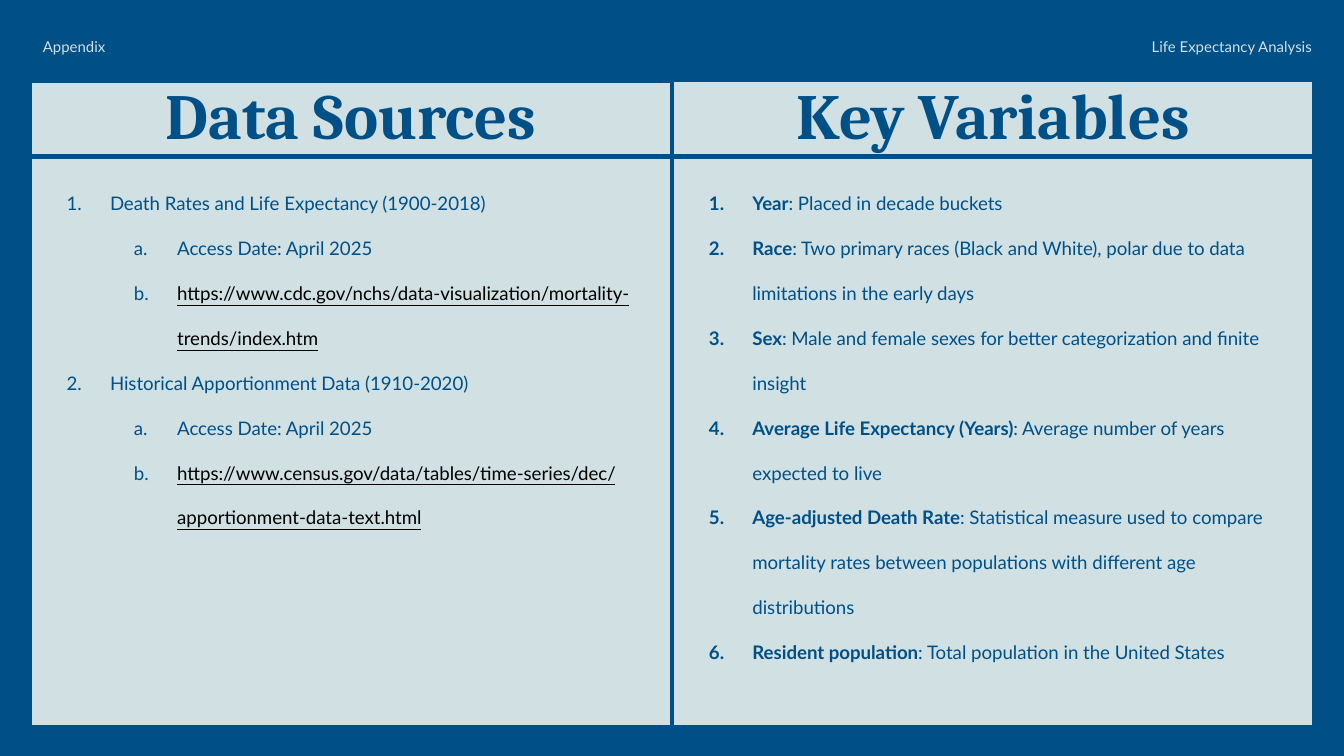
from lxml.etree import SubElement
from pptx import Presentation
from pptx.dml.color import RGBColor
from pptx.enum.shapes import MSO_SHAPE as Shape
from pptx.enum.text import MSO_ANCHOR as Anchor, MSO_AUTO_SIZE as AutoSize, PP_ALIGN as Align
from pptx.oxml.ns import qn
from pptx.util import Cm, Pt

BLUE, PALE, BLACK = "005088", "D0E0E3", "000000"
INSET = Cm(0.25)
HANGING = Cm(0.82)
HEADING_HEIGHT = 1.44

SOURCES = [
    ("Death Rates and Life Expectancy (1900-2018)",
     "https://www.cdc.gov/nchs/data-visualization/mortality-trends/index.htm"),
    ("Historical Apportionment Data (1910-2020)",
     "https://www.census.gov/data/tables/time-series/dec/apportionment-data-text.html"),
]
VARIABLES = [
    ("Year", "Placed in decade buckets"),
    ("Race", "Two primary races (Black and White), polar due to data limitations in the early days"),
    ("Sex", "Male and female sexes for better categorization and finite insight"),
    ("Average Life Expectancy (Years)", "Average number of years expected to live"),
    ("Age-adjusted Death Rate", "Statistical measure used to compare mortality rates "
     "between populations with different age distributions"),
    ("Resident population", "Total population in the United States"),
]


def rgb(value):
    return RGBColor.from_string(value)


def add_run(paragraph, text, size=10, font="Lato", color=BLUE, bold=False, underline=False):
    run = paragraph.add_run()
    run.text = text
    run.font.size = Pt(size)
    run.font.name = font
    run.font.bold = bold
    run.font.underline = underline
    run.font.color.rgb = rgb(color)


def set_frame(frame, anchor):
    frame.word_wrap = True
    frame.auto_size = AutoSize.NONE
    frame.vertical_anchor = anchor
    frame.margin_left = frame.margin_right = INSET
    frame.margin_top = frame.margin_bottom = INSET


def place(shape, box):
    shape.left, shape.top, shape.width, shape.height = (Cm(length) for length in box)


def style_panel(panel, anchor):
    panel.fill.solid()
    panel.fill.fore_color.rgb = rgb(PALE)
    panel.line.color.rgb = rgb(BLUE)
    panel.line.width = Pt(2.25)
    set_frame(panel.text_frame, anchor)


def add_panel(slide, box):
    panel = slide.shapes.add_shape(Shape.RECTANGLE, *(Cm(length) for length in box))
    panel.shadow.inherit = False
    return panel


def add_item(frame, index, level, runs):
    paragraph = frame.paragraphs[0] if index == 0 else frame.add_paragraph()
    paragraph.level = level
    properties = paragraph._p.get_or_add_pPr()
    properties.set("marL", str(Cm(1.27 * (level + 1))))
    properties.set("indent", str(-HANGING))
    bullet_color = SubElement(properties, qn("a:buClr"))
    SubElement(bullet_color, qn("a:srgbClr"), val=BLUE)
    SubElement(properties, qn("a:buAutoNum"), type=("arabicPeriod", "alphaLcPeriod")[level])
    paragraph.alignment = Align.LEFT
    paragraph.line_spacing = 2.0
    for text, style in runs:
        add_run(paragraph, text, **style)


def add_column(slide, box, heading, heading_text, items):
    left, top, width, height = box
    # Heading
    place(heading, (left, top, width, HEADING_HEIGHT))
    style_panel(heading, Anchor.MIDDLE)
    paragraph = heading.text_frame.paragraphs[0]
    paragraph.alignment = Align.CENTER
    paragraph.line_spacing = 0.9
    add_run(paragraph, heading_text, size=34.5, font="Cambria", bold=True)
    # Numbered list
    listing = add_panel(slide, (left, top + HEADING_HEIGHT, width, height - HEADING_HEIGHT))
    style_panel(listing, Anchor.TOP)
    for index, (level, runs) in enumerate(items):
        add_item(listing.text_frame, index, level, runs)


def add_header(slide, box, text, alignment):
    header = slide.shapes.add_textbox(*(Cm(length) for length in box))
    set_frame(header.text_frame, Anchor.MIDDLE)
    paragraph = header.text_frame.paragraphs[0]
    paragraph.alignment = alignment
    paragraph.line_spacing = 1.15
    paragraph.space_after = Pt(12)
    add_run(paragraph, text, size=8, color=PALE)


def source_items():
    for name, address in SOURCES:
        yield 0, [(name, {})]
        yield 1, [("Access Date: April 2025", {})]
        yield 1, [(address, {"color": BLACK, "underline": True})]


def variable_items():
    for name, meaning in VARIABLES:
        yield 0, [(name, {"bold": True}), (f": {meaning}", {})]


def main():
    presentation = Presentation()
    presentation.slide_width, presentation.slide_height = Cm(25.4), Cm(14.29)
    slide = presentation.slides.add_slide(presentation.slide_layouts[5])
    slide.background.fill.solid()
    slide.background.fill.fore_color.rgb = rgb(BLUE)

    # Two equal columns that meet at the slide's centre
    left, top, width, height = 0.56, 1.52, 12.14, 12.22
    middle = left + width
    add_column(slide, (left, top, width, height), slide.shapes.title,
               "Data Sources", source_items())
    variables_heading = add_panel(slide, (middle, top, width, HEADING_HEIGHT))
    add_column(slide, (middle, top, width, height), variables_heading,
               "Key Variables", variable_items())

    # Running headers
    add_header(slide, (left, 0.56, 5.16, 0.58), "Appendix", Align.LEFT)
    add_header(slide, (19.69, 0.56, 5.36, 0.58), "Life Expectancy Analysis", Align.RIGHT)

    presentation.save("out.pptx")


if __name__ == "__main__":
    main()
